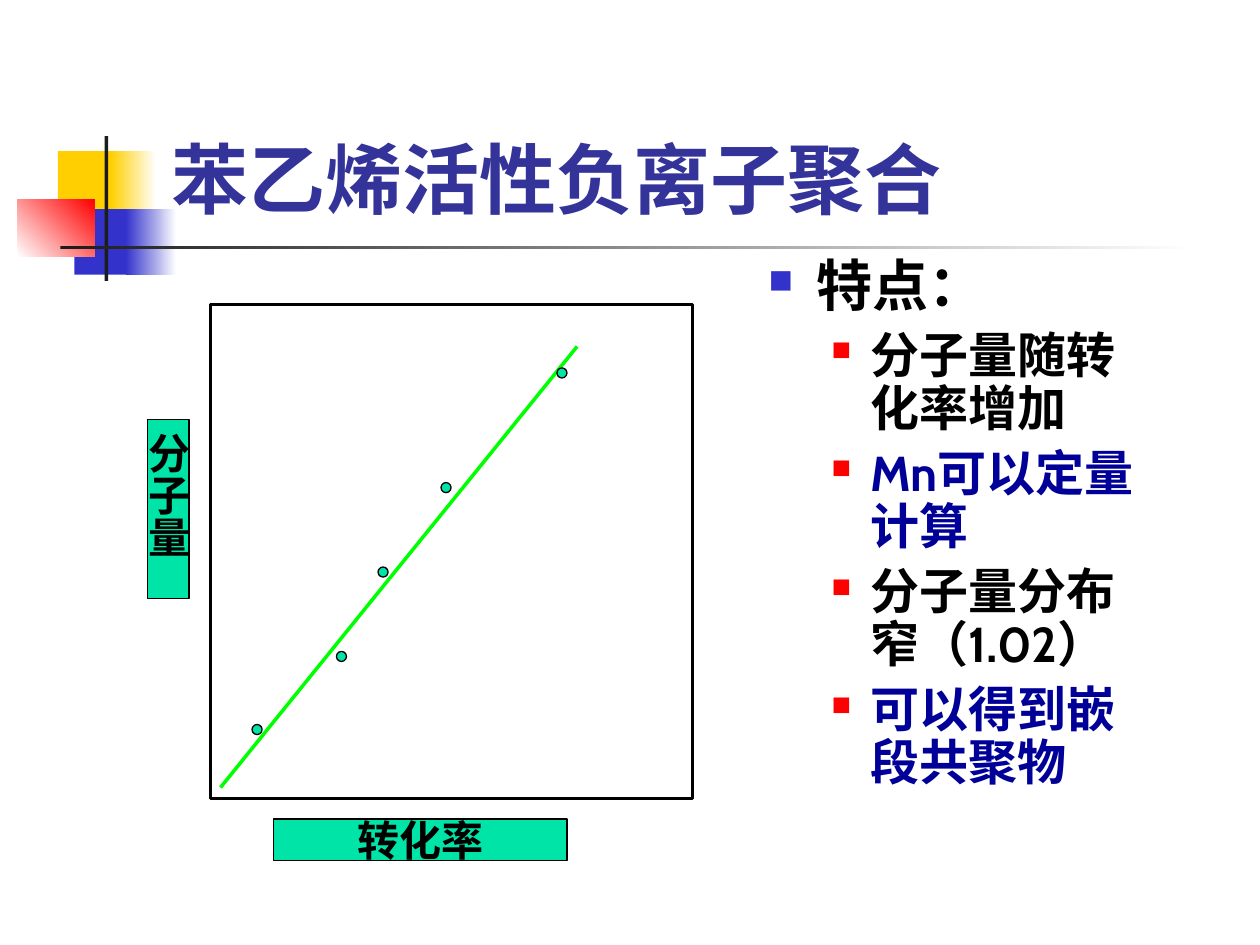
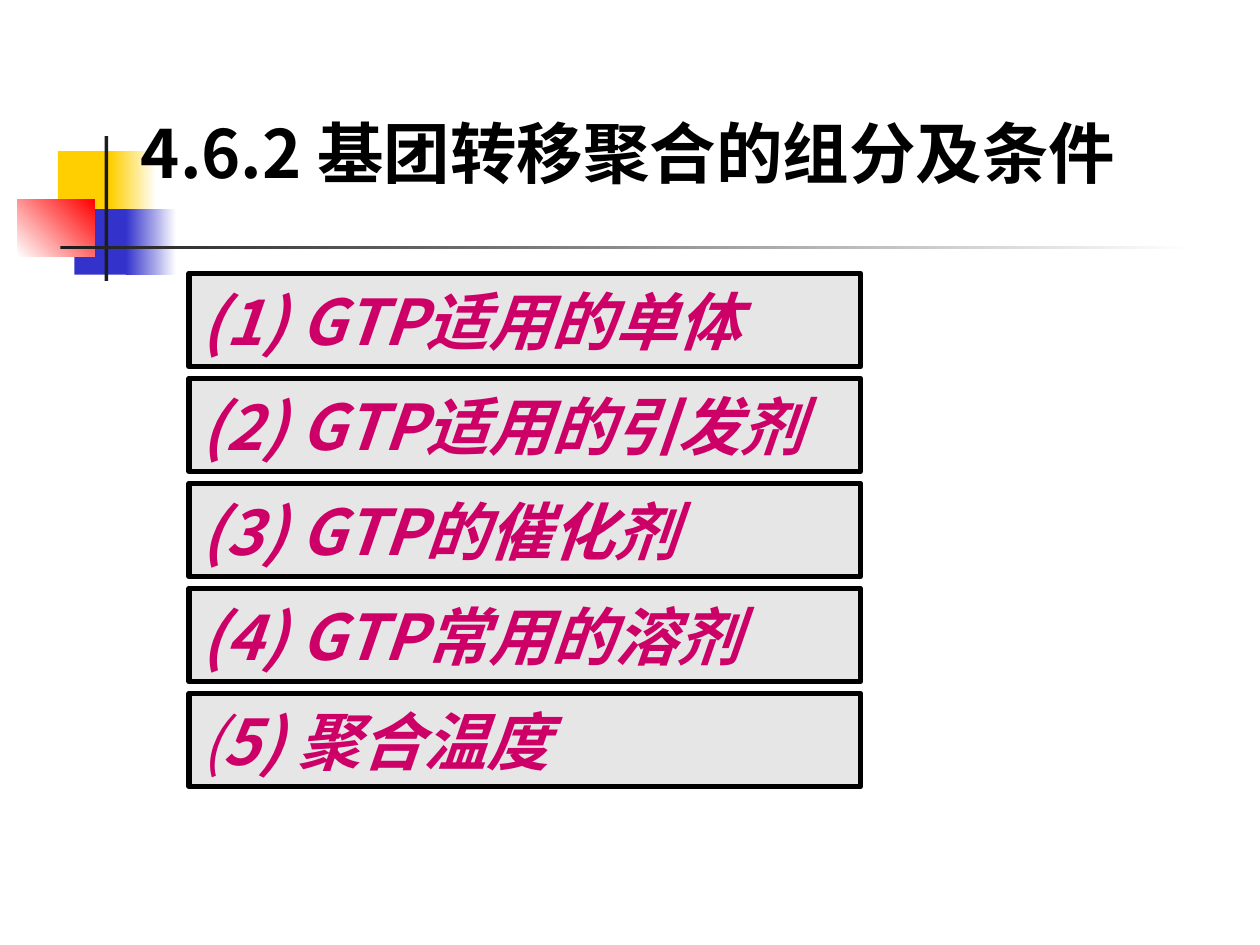
from dataclasses import dataclass
from typing import NamedTuple, Optional

from lxml.etree import SubElement
from pptx import Presentation
from pptx.dml.color import RGBColor
from pptx.enum.shapes import MSO_CONNECTOR, MSO_SHAPE
from pptx.enum.text import MSO_ANCHOR, PP_ALIGN
from pptx.oxml.ns import qn
from pptx.util import Inches, Pt


@dataclass(frozen=True)
class Theme:
    black: str = "000000"
    white: str = "FFFFFF"
    ink: str = "1C1C1C"
    gold: str = "FFCF01"
    blue: str = "3333CC"
    red: str = "FF0000"
    title: str = "333399"
    navy: str = "000099"
    green: str = "00FF00"
    mint: str = "00E4A8"
    panel: str = "E6E6E6"
    magenta: str = "CC0066"
    cabin: str = "Cabin"
    noto: str = "Noto Sans CJK SC"
    times: str = "Times New Roman"
    title_size: int = 44
    section_size: int = 38
    item_size: int = 36
    heading_size: int = 32
    point_size: int = 28
    axis_size: int = 24


THEME = Theme()


class Box(NamedTuple):
    left: float
    top: float
    width: float
    height: float

    def lengths(self) -> tuple:
        return tuple(Inches(value) for value in self)


class TextStyle(NamedTuple):
    face: str
    size: int
    color: str
    italic: Optional[bool] = None


class Block(NamedTuple):
    box: Box
    color: str
    fade_to: Optional[str] = None
    angle: int = 0


class Bullet(NamedTuple):
    color: str
    percent: int
    margin: float
    hanging: float
    space_before: int


class Point(NamedTuple):
    text: str
    style: TextStyle
    bullet: Bullet
    level: int = 1


class AxisLabel(NamedTuple):
    text: str
    box: Box
    vertical: bool = False


MASTER_BLOCKS = [
    Block(Box(0.46, 1.2, 0.48, 0.52), THEME.gold),
    Block(Box(0.88, 1.2, 0.36, 0.52), THEME.gold, THEME.white),
    Block(Box(0.59, 1.66, 0.46, 0.52), THEME.blue),
    Block(Box(1, 1.66, 0.4, 0.52), THEME.blue, THEME.white),
    Block(Box(0.14, 1.58, 0.61, 0.46), THEME.white, THEME.red, 45),
    Block(Box(0.83, 1.08, 0.03, 1.15), THEME.ink),
    Block(Box(0.48, 1.95, 9, 0.03), THEME.ink, THEME.white),
]

HEADING_BULLET = Bullet(THEME.blue, 60, 0.38, 0.38, 8)
POINT_BULLET = Bullet(THEME.red, 55, 0.81, 0.31, 7)
HEADING = TextStyle(THEME.cabin, THEME.heading_size, THEME.black)
PLAIN = TextStyle(THEME.cabin, THEME.point_size, THEME.black)
ACCENT = PLAIN._replace(color=THEME.navy)
AXIS = TextStyle(THEME.times, THEME.axis_size, THEME.black)
ITEM = TextStyle(THEME.noto, THEME.item_size, THEME.magenta, True)

FEATURES = [
    Point("特点：", HEADING, HEADING_BULLET, 0),
    Point("分子量随转化率增加", PLAIN, POINT_BULLET),
    Point("Mn可以定量计算", ACCENT, POINT_BULLET),
    Point("分子量分布窄（1.02）", PLAIN, POINT_BULLET),
    Point("可以得到嵌段共聚物", ACCENT, POINT_BULLET),
]

AXIS_LABELS = [
    AxisLabel("分子量", Box(1.17, 3.33, 0.33, 1.42), True),
    AxisLabel("转化率", Box(2.17, 6.5, 2.33, 0.33)),
]
MARKERS = [(4.42, 2.92), (3.5, 3.83), (3, 4.5), (2.67, 5.17), (2, 5.75)]
MARKER_SIZE = 0.08

GTP_TOPICS = [
    ["(1) GTP适用的单体"],
    ["(2) GTP适用的引发剂"],
    ["(3) GTP的催化剂"],
    ["(4) GTP常用的溶剂"],
    ["(", "5) 聚合温度"],
]
TOPIC_PITCH = 5 / 6


def rgb(color: str) -> RGBColor:
    return RGBColor.from_string(color)


def add_panel(slide, box: Box, fill: Optional[str] = None,
              line: Optional[str] = None, weight: float = 0.75,
              kind=MSO_SHAPE.RECTANGLE):
    panel = slide.shapes.add_shape(kind, *box.lengths())
    panel.shadow.inherit = False
    if fill:
        panel.fill.solid()
        panel.fill.fore_color.rgb = rgb(fill)
    else:
        panel.fill.background()
    if line:
        panel.line.color.rgb = rgb(line)
        panel.line.width = Pt(weight)
    else:
        panel.line.fill.background()
    return panel


def add_block(slide, block: Block) -> None:
    panel = add_panel(slide, block.box, block.color)
    if block.fade_to:
        panel.fill.gradient()
        panel.fill.gradient_angle = block.angle
        for stop, color in zip(panel.fill.gradient_stops, (block.color, block.fade_to)):
            stop.color.rgb = rgb(color)


def style_paragraph(paragraph, style: TextStyle) -> None:
    font = paragraph.font
    font.name = style.face
    font.size = Pt(style.size)
    font.bold = True
    font.italic = style.italic
    font.color.rgb = rgb(style.color)
    defaults = paragraph._p.pPr.find(qn("a:defRPr"))
    SubElement(defaults, qn("a:ea")).set("typeface", THEME.noto)


def add_bullet(paragraph, bullet: Bullet) -> None:
    properties = paragraph._p.get_or_add_pPr()
    properties.set("marL", str(Inches(bullet.margin)))
    properties.set("indent", str(-Inches(bullet.hanging)))
    color = SubElement(properties, qn("a:buClr"))
    SubElement(color, qn("a:srgbClr")).set("val", bullet.color)
    SubElement(properties, qn("a:buSzPct")).set("val", str(bullet.percent * 1000))
    SubElement(properties, qn("a:buChar")).set("char", "■")


def add_title(slide, text: str, box: Box, style: TextStyle, anchor) -> None:
    frame = slide.shapes.add_textbox(*box.lengths()).text_frame
    frame.word_wrap = True
    frame.vertical_anchor = anchor
    paragraph = frame.paragraphs[0]
    paragraph.add_run().text = text
    style_paragraph(paragraph, style)


def add_features(slide) -> None:
    frame = slide.shapes.add_textbox(*Box(6, 2, 3.25, 4.5).lengths()).text_frame
    frame.word_wrap = True
    for index, point in enumerate(FEATURES):
        paragraph = frame.add_paragraph() if index else frame.paragraphs[0]
        paragraph.add_run().text = point.text
        add_bullet(paragraph, point.bullet)
        paragraph.level = point.level
        paragraph.line_spacing = 0.9
        if index:
            paragraph.space_before = Pt(point.bullet.space_before)
        style_paragraph(paragraph, point.style)


def add_axis_label(slide, label: AxisLabel) -> None:
    frame = add_panel(slide, label.box, THEME.mint, THEME.black).text_frame
    frame.word_wrap = False
    frame.vertical_anchor = MSO_ANCHOR.MIDDLE
    if label.vertical:
        frame._txBody.bodyPr.set("vert", "eaVert")
        frame.margin_left = frame.margin_right = Inches(0.05)
        frame.margin_top = frame.margin_bottom = Inches(0.1)
    paragraph = frame.paragraphs[0]
    paragraph.alignment = PP_ALIGN.CENTER
    paragraph.add_run().text = label.text
    style_paragraph(paragraph, AXIS)


def add_plot(slide) -> None:
    add_panel(slide, Box(1.67, 2.42, 3.83, 3.92), line=THEME.black, weight=1.75)
    trend = slide.shapes.add_connector(
        MSO_CONNECTOR.STRAIGHT, Inches(1.75), Inches(6.25), Inches(4.58), Inches(2.75))
    trend.line.color.rgb = rgb(THEME.green)
    trend.line.width = Pt(2)
    SubElement(trend._element.spPr, qn("a:effectLst"))
    for label in AXIS_LABELS:
        add_axis_label(slide, label)
    for left, top in MARKERS:
        add_panel(slide, Box(left, top, MARKER_SIZE, MARKER_SIZE),
                  THEME.mint, THEME.black, kind=MSO_SHAPE.OVAL)


def add_topic(slide, index: int, parts: list) -> None:
    box = Box(1.5, 2.17 + index * TOPIC_PITCH, 5.33, 0.74)
    frame = add_panel(slide, box, THEME.panel, THEME.black, 3).text_frame
    frame.word_wrap = True
    frame.vertical_anchor = MSO_ANCHOR.MIDDLE
    paragraph = frame.paragraphs[0]
    paragraph.alignment = PP_ALIGN.LEFT
    for part in parts:
        run = paragraph.add_run()
        run.text = part
        if part == "(":
            run.font.bold = False
    style_paragraph(paragraph, ITEM)


def new_slide(deck):
    slide = deck.slides.add_slide(deck.slide_layouts[6])
    for block in MASTER_BLOCKS:
        add_block(slide, block)
    return slide


def build_living_polymerization(deck) -> None:
    slide = new_slide(deck)
    add_title(slide, "苯乙烯活性负离子聚合", Box(1.26, 0.23, 8.52, 1.6),
              TextStyle(THEME.cabin, THEME.title_size, THEME.title), MSO_ANCHOR.BOTTOM)
    add_features(slide)
    add_plot(slide)


def build_group_transfer(deck) -> None:
    slide = new_slide(deck)
    add_title(slide, "4.6.2 基团转移聚合的组分及条件", Box(1.02, 0.58, 8.56, 1.25),
              TextStyle(THEME.noto, THEME.section_size, THEME.black), MSO_ANCHOR.MIDDLE)
    for index, parts in enumerate(GTP_TOPICS):
        add_topic(slide, index, parts)


def main() -> None:
    deck = Presentation()
    deck.slide_width = Inches(10)
    deck.slide_height = Inches(7.5)
    build_living_polymerization(deck)
    build_group_transfer(deck)
    deck.save("out.pptx")


if __name__ == "__main__":
    main()
